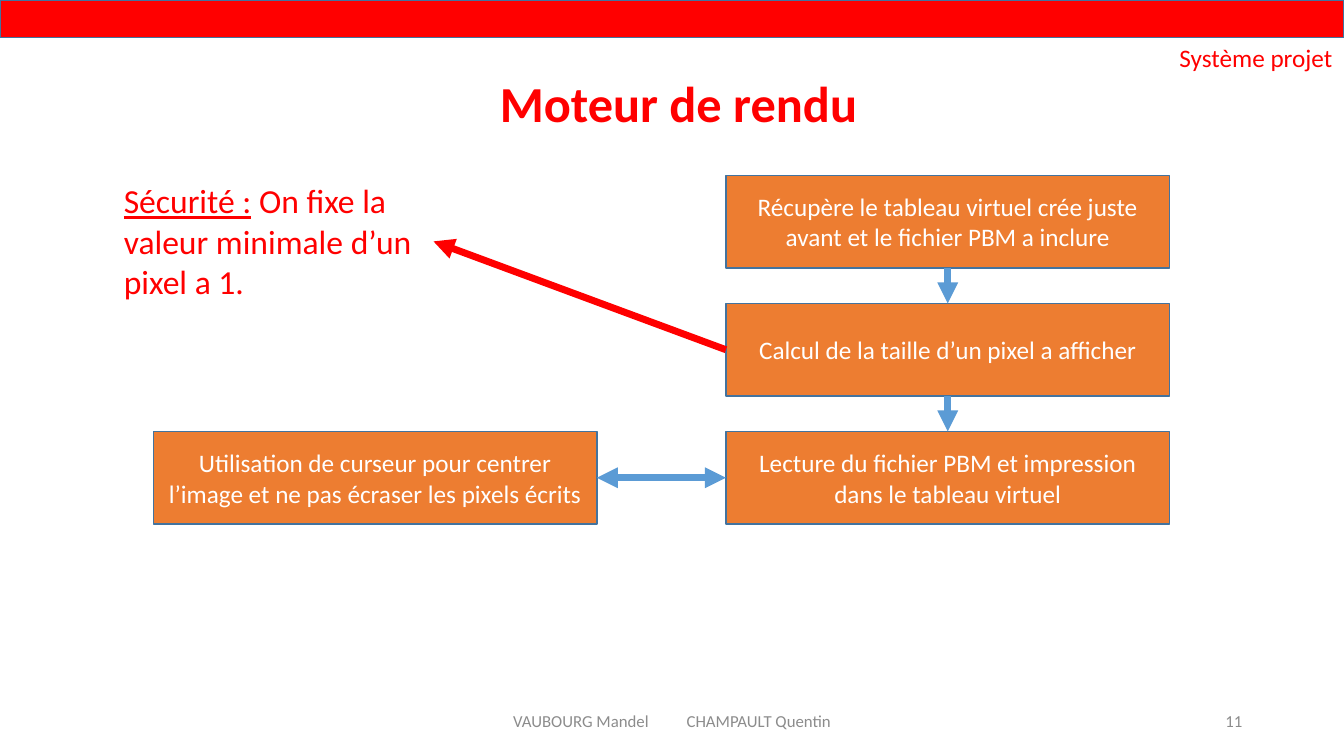
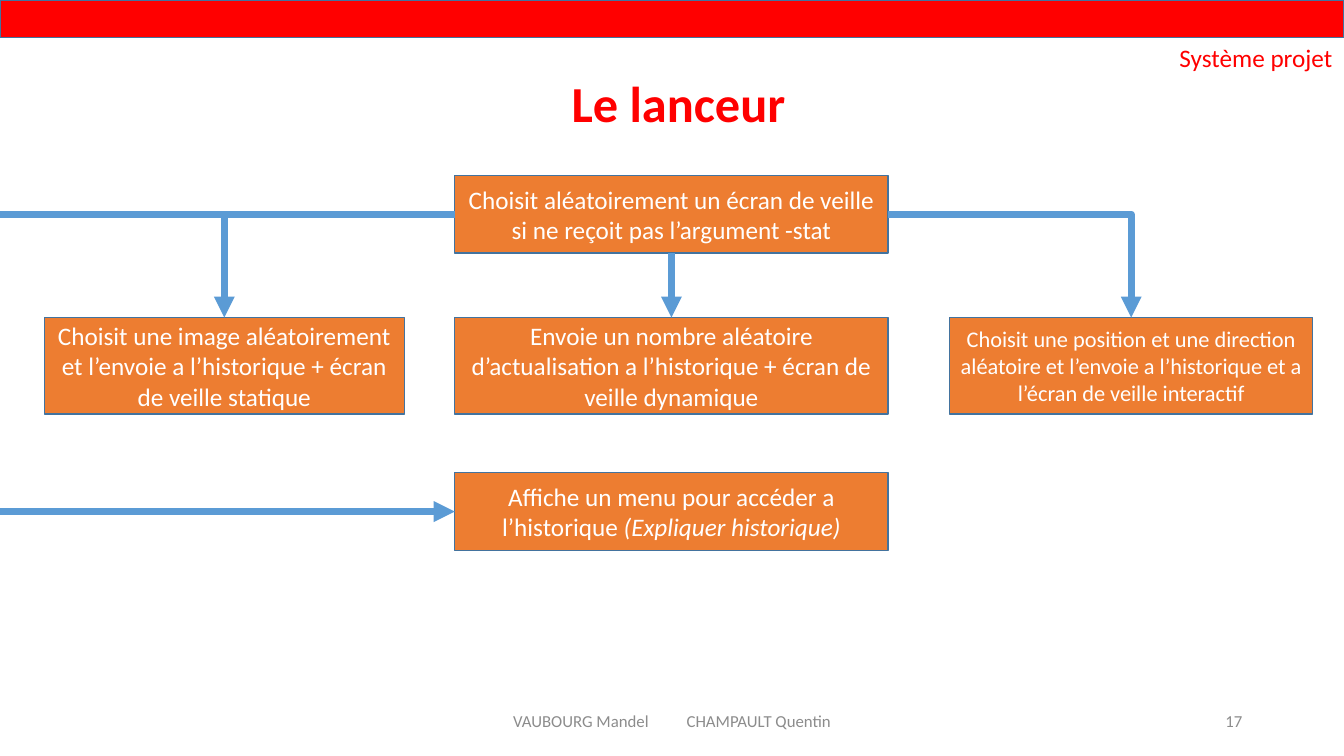
"""Build two flow-chart slides about a screen-saver project."""
from dataclasses import dataclass

from pptx import Presentation
from pptx import util as u
from pptx.dml.color import RGBColor
from pptx.enum import shapes, text
from pptx.oxml.ns import qn
from lxml import etree

Inches = u.Inches
TOP, LEFT, BOTTOM, RIGHT = range(4)


@dataclass(frozen=True)
class Theme:
    font: str = "Calibri"
    red: str = "FF0000"
    box: str = "ED7D31"
    outline: str = "43739E"
    arrow: str = "5B9BD5"
    white: str = "FFFFFF"
    grey: str = "8C8C8C"
    title_size: int = 36
    note_size: int = 24
    body_size: int = 18
    small_size: int = 16
    footer_size: int = 12
    arrow_width: int = 5
    slide_width: float = 13.33
    slide_height: float = 7.5


THEME = Theme()
ALIGN = text.PP_ALIGN
ANCHOR = text.MSO_ANCHOR


def write(shape, runs, size=THEME.body_size, color=THEME.white, align=ALIGN.CENTER,
          anchor=ANCHOR.MIDDLE, bold=False, spacing=None, wrap=True):
    frame = shape.text_frame
    frame.word_wrap = wrap
    frame.vertical_anchor = anchor
    paragraph = frame.paragraphs[0]
    paragraph.alignment = align
    paragraph.line_spacing = spacing
    for content, style in runs:
        run = paragraph.add_run()
        run.text = content
        font = run.font
        font.name, font.size, font.bold = THEME.font, u.Pt(size), bold
        font.color.rgb = RGBColor.from_string(color)
        font.italic = style == "italic"
        font.underline = style == "underline"
    return paragraph


def add_text(slide, content, left, top, width, height, **style):
    shape = slide.shapes.add_textbox(*map(Inches, (left, top, width, height)))
    runs = [(content, None)] if isinstance(content, str) else content
    write(shape, runs, **style)
    return shape


def add_rectangle(slide, left, top, width, height, fill):
    shape = slide.shapes.add_shape(shapes.MSO_SHAPE.RECTANGLE,
                                   *map(Inches, (left, top, width, height)))
    shape.shadow.inherit = False
    shape.fill.solid()
    shape.fill.fore_color.rgb = RGBColor.from_string(fill)
    shape.line.color.rgb = RGBColor.from_string(THEME.outline)
    shape.line.width = u.Pt(1)
    return shape


def add_step(slide, content, left, top, width, height, **style):
    shape = add_rectangle(slide, left, top, width, height, THEME.box)
    runs = [(content, None)] if isinstance(content, str) else content
    write(shape, runs, **style)
    return shape


def add_arrow(slide, start, end, color=THEME.arrow, ends=("tailEnd",), bent=False):
    """Join two (shape, side) pairs; a number as start means that height on the left edge."""
    kind = shapes.MSO_CONNECTOR.ELBOW if bent else shapes.MSO_CONNECTOR.STRAIGHT
    from_edge = not isinstance(start, tuple)
    height = start if from_edge else 0
    connector = slide.shapes.add_connector(kind, 0, height, 0, height)
    if not from_edge:
        connector.begin_connect(*start)
    connector.end_connect(*end)
    connector.line.color.rgb = RGBColor.from_string(color)
    connector.line.width = u.Pt(THEME.arrow_width)
    properties = connector._element.spPr
    if bent:
        properties.find(qn("a:prstGeom")).set("prst", "bentConnector2")
    line = properties.find(qn("a:ln"))
    for name in ends:
        etree.SubElement(line, qn(f"a:{name}")).set("type", "triangle")
    etree.SubElement(properties, qn("a:effectLst"))


def add_footer(slide, number):
    style = dict(size=THEME.footer_size, color=THEME.grey)
    names = add_text(slide, "VAUBOURG Mandel\tCHAMPAULT Quentin", 4.42, 6.95, 4.5, 0.4,
                     align=ALIGN.LEFT, **style)
    names.text_frame.margin_left = Inches(0.67)
    paragraph = names.text_frame.paragraphs[0]
    tabs = etree.SubElement(paragraph._p.get_or_add_pPr(), qn("a:tabLst"))
    etree.SubElement(tabs, qn("a:tab"), pos=str(Inches(1.72)), algn="l")
    add_text(slide, str(number), 9.42, 6.95, 3, 0.4, align=ALIGN.RIGHT, **style)


def add_slide(presentation, title, number):
    slide = presentation.slides.add_slide(presentation.slide_layouts[6])
    add_text(slide, title, 1.73, 0.37, 10, 1, size=THEME.title_size, color=THEME.red,
             anchor=ANCHOR.BOTTOM, bold=True, spacing=0.9)
    add_rectangle(slide, 0, 0, THEME.slide_width, 0.37, THEME.red)
    add_footer(slide, number)
    add_text(slide, "Système projet", 11.6, 0.37, 1.73, 0.4, color=THEME.red,
             align=ALIGN.LEFT, anchor=ANCHOR.TOP, wrap=False)
    return slide


def build_renderer(presentation):
    slide = add_slide(presentation, "Moteur de rendu", 11)
    width, height, first_top, pitch = 4.4, 0.92, 1.74, 1.27
    steps = ("Récupère le tableau virtuel crée juste avant et le fichier PBM a inclure",
             "Calcul de la taille d’un pixel a afficher",
             "Lecture du fichier PBM et impression dans le tableau virtuel")
    fetch, compute, read = [add_step(slide, step, 7.2, first_top + row * pitch, width, height)
                            for row, step in enumerate(steps)]
    cursor = add_step(slide, "Utilisation de curseur pour centrer l’image "
                      "et ne pas écraser les pixels écrits",
                      1.52, first_top + 2 * pitch, width, height)
    safety = add_text(slide, [("Sécurité :", "underline"),
                              (" On fixe la valeur minimale d’un pixel a 1.", None)],
                      1.13, first_top, 3.17, 1.31, size=THEME.note_size, color=THEME.red,
                      align=ALIGN.LEFT, anchor=ANCHOR.TOP)
    add_arrow(slide, (cursor, RIGHT), (read, LEFT), ends=("headEnd", "tailEnd"))
    for upper, lower in ((fetch, compute), (compute, read)):
        add_arrow(slide, (upper, BOTTOM), (lower, TOP))
    add_arrow(slide, (compute, LEFT), (safety, RIGHT), color=THEME.red)


def build_launcher(presentation):
    slide = add_slide(presentation, "Le lanceur", 17)
    left, width, height = 4.51, 4.3, 0.77
    mode_top, mode_height = 3.15, 0.96
    launcher = add_step(slide, "Choisit aléatoirement un écran de veille "
                        "si ne reçoit pas l’argument -stat", left, 1.74, width, height)
    interactive = add_step(slide, "Choisit une position et une direction aléatoire et l’envoie "
                           "a l’historique et a l’écran de veille interactif",
                           9.42, mode_top, 3.6, mode_height, size=THEME.small_size)
    dynamic = add_step(slide, "Envoie un nombre aléatoire d’actualisation a l’historique "
                       "+ écran de veille dynamique", left, mode_top, width, mode_height)
    static = add_step(slide, "Choisit une image aléatoirement et l’envoie a l’historique "
                      "+ écran de veille statique", 0.44, mode_top, 3.57, mode_height)
    menu = add_step(slide, [("Affiche un menu pour accéder a l’historique ", None),
                            ("(Expliquer historique)", "italic")], left, 4.69, width, height)
    add_arrow(slide, (launcher, RIGHT), (interactive, TOP), bent=True)
    add_arrow(slide, (launcher, LEFT), (static, TOP), bent=True)
    add_arrow(slide, (launcher, BOTTOM), (dynamic, TOP))
    for step, ends in ((launcher, ()), (menu, ("tailEnd",))):
        add_arrow(slide, step.top + step.height // 2, (step, LEFT), ends=ends)


def main():
    presentation = Presentation()
    presentation.slide_width = Inches(THEME.slide_width)
    presentation.slide_height = Inches(THEME.slide_height)
    build_renderer(presentation)
    build_launcher(presentation)
    presentation.save("out.pptx")


main()
